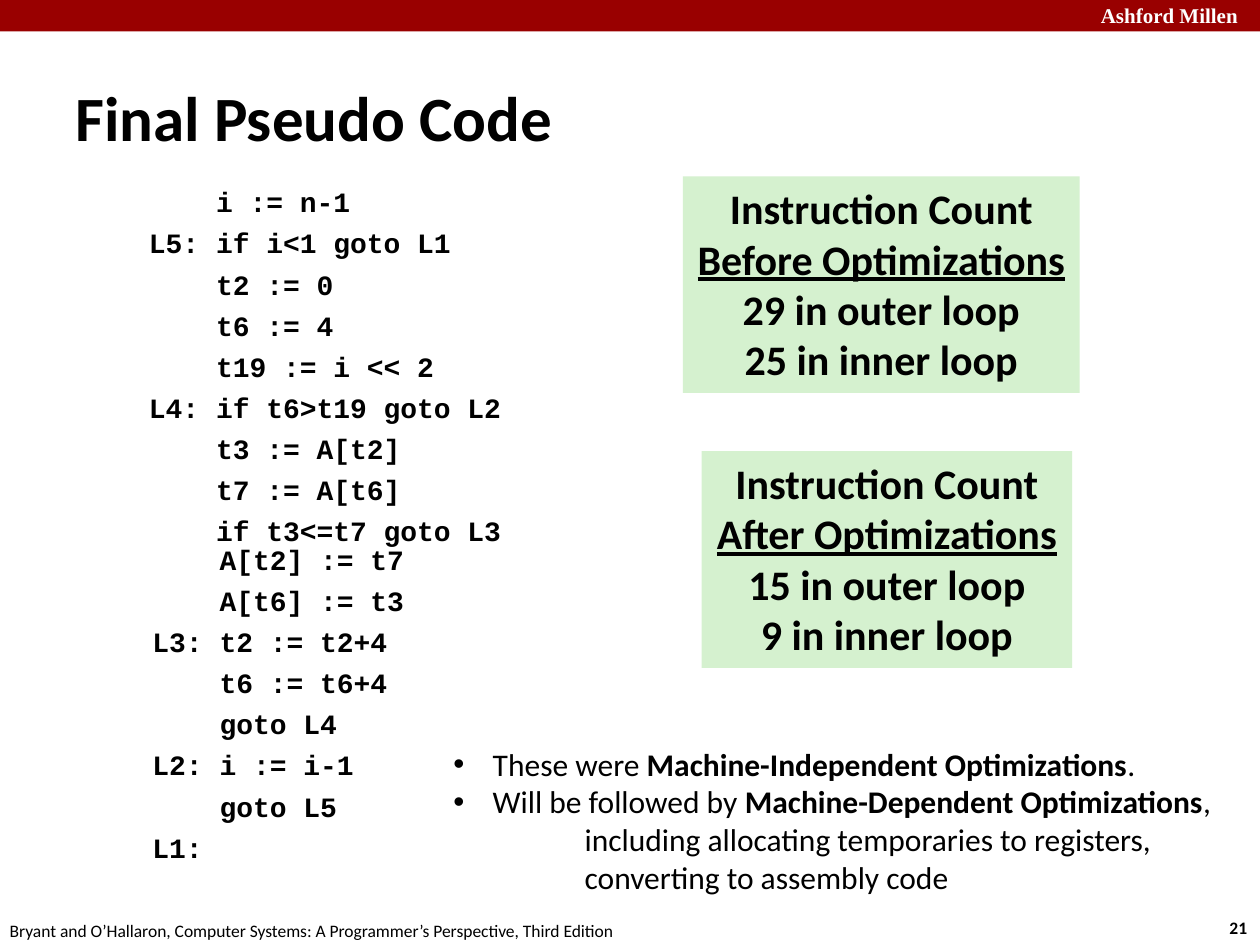
from pptx import Presentation
from pptx.dml.color import RGBColor
from pptx.enum.shapes import MSO_SHAPE
from pptx.enum.text import MSO_ANCHOR, PP_ALIGN
from pptx.oxml import parse_xml
from pptx.oxml.ns import nsdecls
from pptx.util import Pt

BLACK = RGBColor(0x00, 0x00, 0x00)
WHITE = RGBColor(0xFF, 0xFF, 0xFF)
RED = RGBColor(0x99, 0x00, 0x00)
GREEN = RGBColor(0xD5, 0xF1, 0xCF)

CODE_START = [
    ("", "i := n-1"),
    ("L5:", "if i<1 goto L1"),
    ("", "t2 := 0"),
    ("", "t6 := 4"),
    ("", "t19 := i << 2"),
    ("L4:", "if t6>t19 goto L2"),
    ("", "t3 := A[t2]"),
    ("", "t7 := A[t6]"),
    ("", "if t3<=t7 goto L3"),
]
CODE_END = [
    ("", "A[t2] := t7"),
    ("", "A[t6] := t3"),
    ("L3:", "t2 := t2+4"),
    ("", "t6 := t6+4"),
    ("", "goto L4"),
    ("L2:", "i := i-1"),
    ("", "goto L5"),
    ("L1:", ""),
]
REMARKS = [
    (True, ["These were ", "Machine-Independent Optimizations", "."]),
    (True, ["Will be followed by ", "Machine-Dependent Optimizations", ","]),
    (False, ["including allocating temporaries to registers,"]),
    (False, ["converting to assembly code"]),
]


class SlideBuilder:
    body_font = "Calibri"
    code_font = "Courier New"
    header_font = "Times New Roman"
    code_indent = 38.4
    bullet_indent = 22.5
    continuation_indent = 75

    def __init__(self, slide):
        self.slide = slide

    def style(self, paragraph, size, bold=None, name=None, color=BLACK):
        font = paragraph.font
        font.name = name or self.body_font
        font.size = Pt(size)
        font.bold = bold
        font.color.rgb = color

    def indent(self, paragraph, margin, first=0):
        properties = paragraph._p.get_or_add_pPr()
        properties.set("marL", str(Pt(margin)))
        properties.set("indent", str(Pt(first)))
        return properties

    def paragraphs(self, frame, count):
        for _ in range(count - 1):
            frame.add_paragraph()
        return frame.paragraphs

    def rectangle(self, left, top, width, height, color):
        shape = self.slide.shapes.add_shape(
            MSO_SHAPE.RECTANGLE, Pt(left), Pt(top), Pt(width), Pt(height))
        shape.shadow.inherit = False
        shape.fill.solid()
        shape.fill.fore_color.rgb = color
        shape.line.fill.background()
        return shape

    def text_frame(self, left, top, width, height):
        frame = self.slide.shapes.add_textbox(
            Pt(left), Pt(top), Pt(width), Pt(height)).text_frame
        frame.word_wrap = True
        return frame

    def text(self, words, left, top, width, height, size, **style):
        frame = self.text_frame(left, top, width, height)
        frame.vertical_anchor = MSO_ANCHOR.MIDDLE
        paragraph = frame.paragraphs[0]
        paragraph.text = words
        self.style(paragraph, size, **style)

    def code(self, lines, left, top, width, height):
        frame = self.text_frame(left, top, width, height)
        for paragraph, (label, statement) in zip(self.paragraphs(frame, len(lines)), lines):
            first = -self.code_indent if label else 0
            self.indent(paragraph, self.code_indent, first)
            paragraph.text = f"{label}\t{statement}" if label and statement else label or statement
            paragraph.space_before = Pt(4.25)
            self.style(paragraph, 16, True, self.code_font)

    def count_box(self, stage, outer, inner, left, top, width):
        frame = self.rectangle(left, top, width, 123.8, GREEN).text_frame
        frame.word_wrap = False
        frame.vertical_anchor = MSO_ANCHOR.TOP
        heading = f"{stage} Optimizations"
        lines = ["Instruction Count", heading,
                 f"{outer} in outer loop", f"{inner} in inner loop"]
        for paragraph, line in zip(self.paragraphs(frame, len(lines)), lines):
            paragraph.text = line
            paragraph.alignment = PP_ALIGN.CENTER
            self.style(paragraph, 24, True)
            paragraph.font.underline = line == heading

    def remarks(self, remarks, left, top, width, height):
        frame = self.text_frame(left, top, width, height)
        for paragraph, (bulleted, parts) in zip(self.paragraphs(frame, len(remarks)), remarks):
            for position, part in enumerate(parts):
                run = paragraph.add_run()
                run.text = part
                run.font.bold = position == 1
            self.style(paragraph, 18)
            if bulleted:
                properties = self.indent(paragraph, self.bullet_indent, -self.bullet_indent)
                bullet_font = parse_xml(f'<a:buFont {nsdecls("a")} typeface="Arial"/>')
                bullet = parse_xml(f'<a:buChar {nsdecls("a")} char="•"/>')
                properties.insert_element_before(bullet_font, "a:tabLst", "a:defRPr", "a:extLst")
                properties.insert_element_before(bullet, "a:tabLst", "a:defRPr", "a:extLst")
            else:
                self.indent(paragraph, self.continuation_indent)


def main():
    presentation = Presentation()
    presentation.slide_width = Pt(720)
    presentation.slide_height = Pt(540)
    builder = SlideBuilder(presentation.slides.add_slide(presentation.slide_layouts[6]))

    builder.rectangle(0, 0, 720, 18, RED)
    builder.text("Ashford Millen", 622, -2, 103, 21.6, 12, bold=True,
                 name=builder.header_font, color=WHITE)
    builder.text("21", 695.5, 520.6, 26.6, 19.4, 10, bold=True)
    builder.text("Bryant and O’Hallaron, Computer Systems: "
                 "A Programmer’s Perspective, Third Edition",
                 -1.5, 522, 380, 19.4, 10)
    builder.text("Final Pseudo Code", 36, 21.6, 648, 90, 36, bold=True)

    builder.code(CODE_START, 78, 102.2, 318, 210)
    builder.code(CODE_END, 80, 306.7, 246, 200)
    builder.count_box("Before", 29, 25, 390.2, 100.8, 226.8)
    builder.count_box("After", 15, 9, 401, 257.8, 211.7)
    builder.remarks(REMARKS, 252, 422, 460, 94.3)

    presentation.save("out.pptx")


if __name__ == "__main__":
    main()
